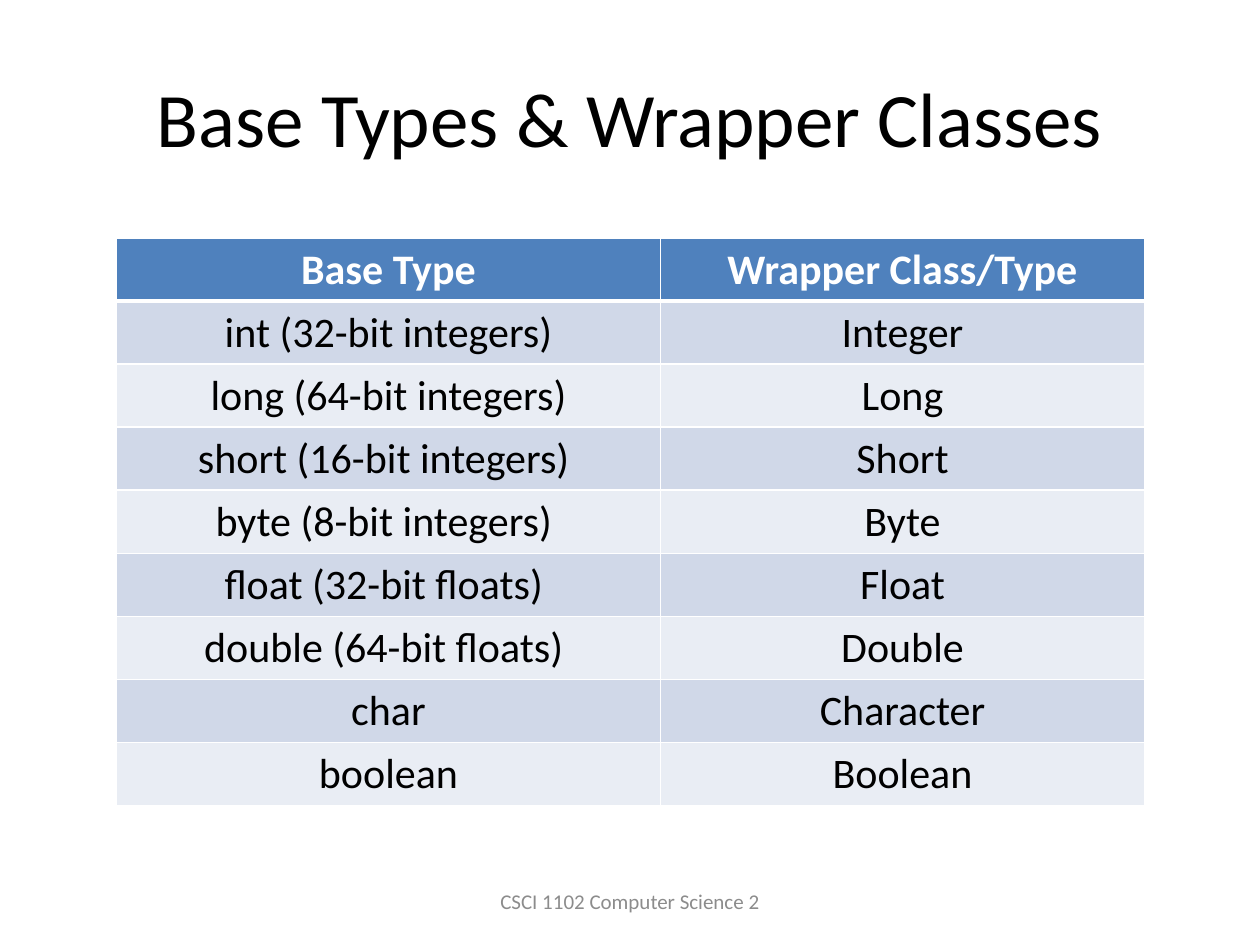
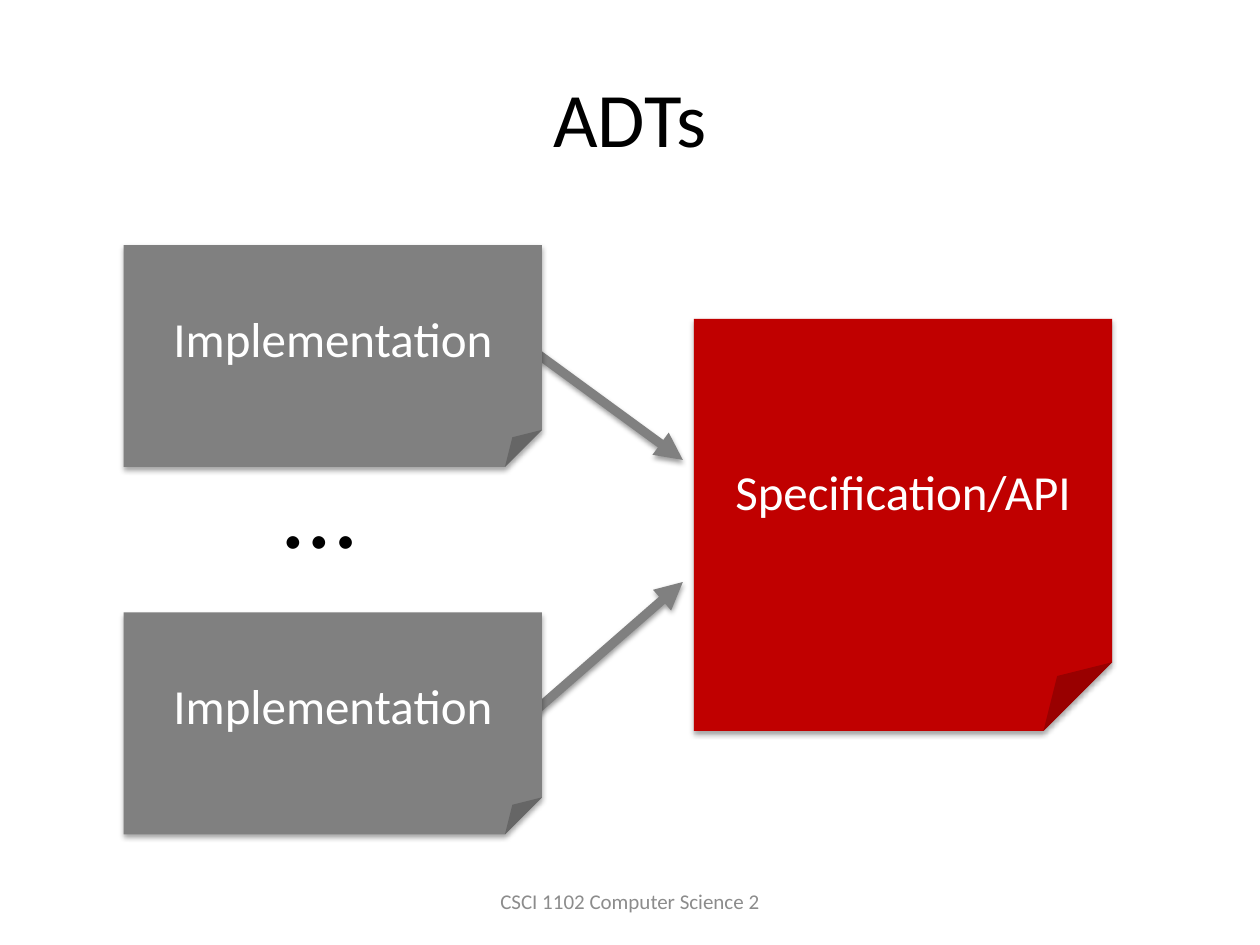
from dataclasses import dataclass

import lxml.etree
import pptx
import pptx.dml.color
import pptx.enum.shapes
import pptx.enum.text
import pptx.oxml.ns
import pptx.util

Pt = pptx.util.Pt
RGBColor = pptx.dml.color.RGBColor
CENTER = pptx.enum.text.PP_ALIGN.CENTER
LEFT = pptx.enum.text.PP_ALIGN.LEFT
MIDDLE = pptx.enum.text.MSO_ANCHOR.MIDDLE
TOP = pptx.enum.text.MSO_ANCHOR.TOP

# Colours shared by the slides
BLACK = RGBColor(0x00, 0x00, 0x00)
WHITE = RGBColor(0xFF, 0xFF, 0xFF)
GRAY = RGBColor(0x80, 0x80, 0x80)
FOOTER_GRAY = RGBColor(0x8C, 0x8C, 0x8C)
RED = RGBColor(0xC0, 0x00, 0x00)
HEADER_BLUE = RGBColor(0x4F, 0x81, 0xBD)
BAND_COLORS = (RGBColor(0xE9, 0xED, 0xF4), RGBColor(0xD0, 0xD8, 0xE8))

FONT_NAME = "Calibri"
TITLE_ONLY_LAYOUT = 5
FOOTER = "CSCI 1102 Computer Science 2"

TYPE_ROWS = (
    ("Base Type", "Wrapper Class/Type"),
    ("int (32-bit integers)", "Integer"),
    ("long (64-bit integers)", "Long"),
    ("short (16-bit integers) ", "Short"),
    ("byte (8-bit integers) ", "Byte"),
    ("float (32-bit floats) ", "Float"),
    ("double (64-bit floats) ", "Double"),
    ("char", "Character"),
    ("boolean", "Boolean"),
)
COLUMN_WIDTHS = (311, 276.5)
ROW_HEIGHT = 36


@dataclass(frozen=True)
class Box:
    """A place on the slide, in points."""
    left: float
    top: float
    width: float
    height: float

    def lengths(self) -> tuple:
        return tuple(Pt(v) for v in (self.left, self.top, self.width, self.height))


@dataclass(frozen=True)
class Note:
    text: str
    box: Box
    color: RGBColor


@dataclass(frozen=True)
class Arrow:
    start: tuple[float, float]
    end: tuple[float, float]


@dataclass(frozen=True)
class Shadow:
    opacity: int
    blur: float
    distance: float


TITLE_BOX = Box(36, 21.6, 648, 90)
FOOTER_BOX = Box(246, 500.5, 228, 28.75)
ELLIPSIS_BOX = Box(154.8, 249.8, 94.3, 80)
TABLE_BOX = Box(66.5, 136, sum(COLUMN_WIDTHS), ROW_HEIGHT * len(TYPE_ROWS))

NOTES = (
    Note("Specification/API", Box(396.5, 182.2, 239, 235.5), RED),
    *(Note("Implementation", Box(70.7, top, 239, 126.8), GRAY) for top in (140, 350)),
)
ARROWS = (
    Arrow((299.5, 411.8), (390.2, 332.6)),
    Arrow((299.5, 196.6), (390.2, 262.8)),
)
NOTE_SHADOW = Shadow(35, 3.1, 1.8)
ARROW_SHADOW = Shadow(38, 3.1, 1.6)


def add_element(parent, tag: str, **attributes):
    """Append a DrawingML element and return it."""
    values = {key: str(value) for key, value in attributes.items()}
    return lxml.etree.SubElement(parent, pptx.oxml.ns.qn(tag), values)


def set_text(text_frame, text: str, size: float, color: RGBColor, bold: bool = False,
             alignment=CENTER, anchor=MIDDLE) -> None:
    text_frame.text = text
    paragraph = text_frame.paragraphs[0]
    font = paragraph.runs[0].font
    formats = (
        (text_frame, {"word_wrap": True, "vertical_anchor": anchor}),
        (paragraph, {"alignment": alignment}),
        (font, {"name": FONT_NAME, "size": Pt(size), "bold": bold}),
        (font.color, {"rgb": color}),
    )
    for target, values in formats:
        for name, value in values.items():
            setattr(target, name, value)


def add_text_box(slide, box: Box, text: str, size: float, color: RGBColor, **layout) -> None:
    shape = slide.shapes.add_textbox(*box.lengths())
    set_text(shape.text_frame, text, size, color, **layout)


def add_shadow(shape, shadow: Shadow) -> None:
    effects = add_element(shape._element.spPr, "a:effectLst")
    outer = add_element(effects, "a:outerShdw", blurRad=Pt(shadow.blur),
                        dist=Pt(shadow.distance), dir=90 * 60000, rotWithShape=0)
    color = add_element(outer, "a:srgbClr", val=BLACK)
    add_element(color, "a:alpha", val=shadow.opacity * 1000)


def add_titled_slide(presentation, title: str):
    """Add a slide with the shared title and footer."""
    slide = presentation.slides.add_slide(presentation.slide_layouts[TITLE_ONLY_LAYOUT])
    shape = slide.shapes.title
    shape.left, shape.top, shape.width, shape.height = TITLE_BOX.lengths()
    set_text(shape.text_frame, title, 44, BLACK)
    add_text_box(slide, FOOTER_BOX, FOOTER, 12, FOOTER_GRAY)
    return slide


def set_borders(cell, top: float, bottom: float) -> None:
    properties = cell._tc.get_or_add_tcPr()
    widths = {"a:lnL": 1, "a:lnR": 1, "a:lnT": top, "a:lnB": bottom}
    for tag, width in widths.items():
        line = add_element(properties, tag, w=Pt(width))
        add_element(add_element(line, "a:solidFill"), "a:srgbClr", val=WHITE)


def add_type_table(slide) -> None:
    table = slide.shapes.add_table(
        len(TYPE_ROWS), len(COLUMN_WIDTHS), *TABLE_BOX.lengths()).table
    for column, width in zip(table.columns, COLUMN_WIDTHS):
        column.width = Pt(width)
    for row_index, texts in enumerate(TYPE_ROWS):
        table.rows[row_index].height = Pt(ROW_HEIGHT)
        is_header = row_index == 0
        for column_index, text in enumerate(texts):
            cell = table.cell(row_index, column_index)
            set_text(cell.text_frame, text, 24, WHITE if is_header else BLACK, is_header,
                     anchor=TOP)
            # The heavier rule lies between the header and the first type
            set_borders(cell, 3 if row_index == 1 else 1, 3 if is_header else 1)
            cell.fill.solid()
            cell.fill.fore_color.rgb = HEADER_BLUE if is_header else BAND_COLORS[row_index % 2]


def add_arrow(slide, arrow: Arrow) -> None:
    connector = slide.shapes.add_connector(
        pptx.enum.shapes.MSO_CONNECTOR.STRAIGHT,
        *(Pt(value) for value in arrow.start + arrow.end))
    connector.line.width = Pt(5.25)
    connector.line.color.rgb = GRAY
    add_element(connector.line._get_or_add_ln(), "a:tailEnd", type="triangle")
    add_shadow(connector, ARROW_SHADOW)


def add_note(slide, note: Note) -> None:
    shape = slide.shapes.add_shape(
        pptx.enum.shapes.MSO_SHAPE.FOLDED_CORNER, *note.box.lengths())
    shape.fill.solid()
    shape.fill.fore_color.rgb = note.color
    shape.line.fill.background()
    add_shadow(shape, NOTE_SHADOW)
    set_text(shape.text_frame, note.text, 28, WHITE)


def main() -> None:
    presentation = pptx.Presentation()
    presentation.slide_width, presentation.slide_height = Pt(720), Pt(540)

    # Base types and their wrappers
    add_type_table(add_titled_slide(presentation, "Base Types & Wrapper Classes"))

    # Implementations pointing to one specification; arrows lie behind the notes
    slide = add_titled_slide(presentation, "ADTs")
    for arrow in ARROWS:
        add_arrow(slide, arrow)
    for note in NOTES:
        add_note(slide, note)
    add_text_box(slide, ELLIPSIS_BOX, "…", 60, BLACK, alignment=LEFT, anchor=TOP)

    presentation.save("out.pptx")


if __name__ == "__main__":
    main()
